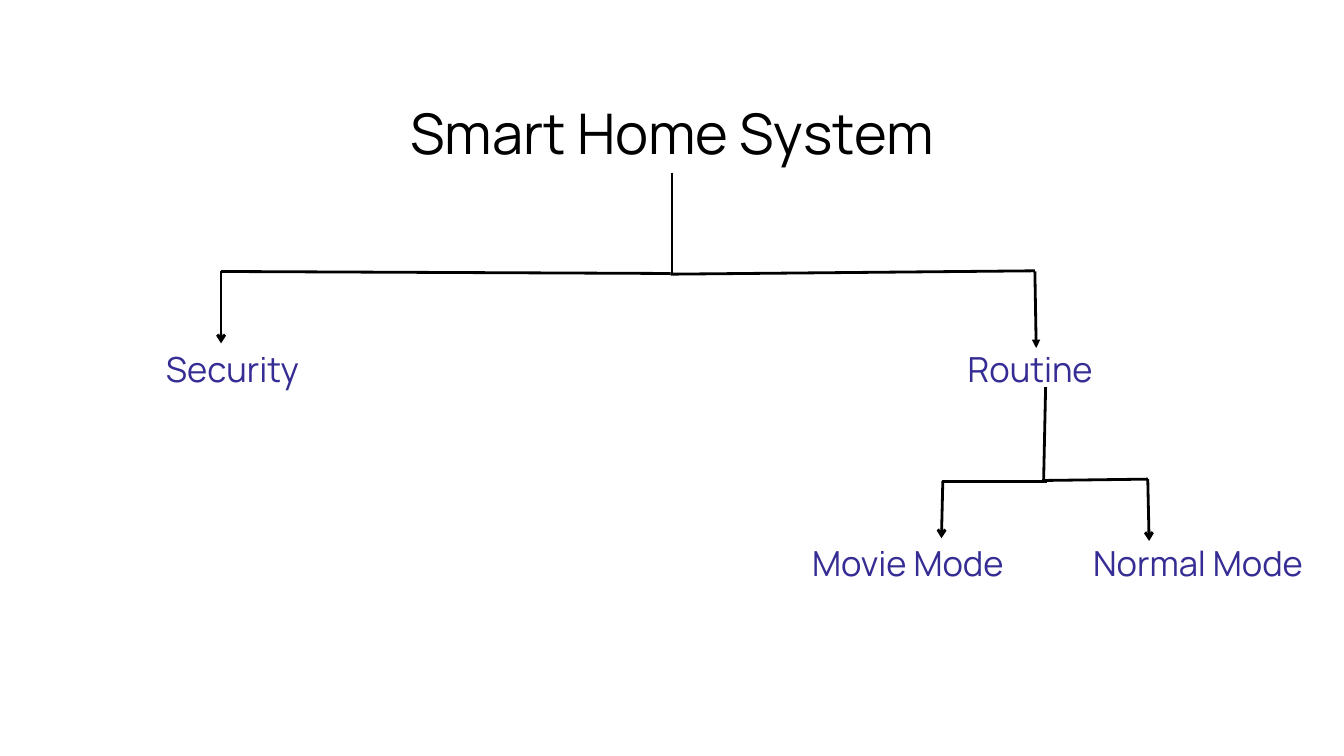
from lxml import etree
from pptx import Presentation
from pptx.dml.color import RGBColor
from pptx.enum.shapes import MSO_CONNECTOR
from pptx.enum.text import MSO_ANCHOR, MSO_AUTO_SIZE, PP_ALIGN
from pptx.oxml.ns import qn
from pptx.util import Inches, Pt

STRAIGHT = MSO_CONNECTOR.STRAIGHT
TOP = MSO_ANCHOR.TOP
GROW = MSO_AUTO_SIZE.SHAPE_TO_FIT_TEXT
CENTER = PP_ALIGN.CENTER
TITLE_ONLY = 5

NODE_TOP, MODE_TOP = 5.03, 7.91
# text, left, top, width, height
NODES = [
    ("Routine", 14.03, NODE_TOP, 2.6, 0.73),
    ("Security ", 2.36, NODE_TOP, 2.3, 0.78),
    ("Movie Mode", 11.5, MODE_TOP, 4.02, 0.73),
    ("Normal Mode ", 16.05, MODE_TOP, 3.66, 0.78),
]
# start, end, arrowhead
BRANCHES = [
    ((10, 2.57), (10, 4.09), None),
    ((3.29, 4.04), (9.98, 4.07), None),
    ((9.98, 4.08), (15.4, 4.03), None),
    ((3.29, 4.04), (3.29, 5.11), "arrow"),
    ((15.4, 4.04), (15.42, 5.18), "triangle"),
    ((15.56, 5.76), (15.53, 7.16), None),
    ((15.52, 7.15), (17.08, 7.13), None),
    ((14.02, 7.16), (15.58, 7.16), None),
    ((14.03, 7.16), (14.01, 8.01), "arrow"),
    ((17.08, 7.13), (17.1, 8.05), "arrow"),
]


def color(hex_code):
    return RGBColor.from_string(hex_code)


def set_format(target, values):
    for name, value in values.items():
        setattr(target, name, value)


class TreeSlide:
    ink = color("000000")
    accent = color("352D94")
    line_width = Pt(3)
    frame_format = {
        "margin_left": 0, "margin_top": 0, "margin_right": 0, "margin_bottom": 0,
        "word_wrap": True, "vertical_anchor": TOP, "auto_size": GROW,
    }
    title_font = {"name": "Manrope", "size": Pt(60), "bold": False}
    node_font = {"name": "Manrope", "size": Pt(37), "bold": False}

    def __init__(self, slide):
        self.slide = slide
        background = slide.background.fill
        background.solid()
        background.fore_color.rgb = color("FFFFFF")

    def fill_text(self, holder, text, font, font_color, leading):
        frame = holder.text_frame
        set_format(frame, self.frame_format)
        paragraph = frame.paragraphs[0]
        set_format(paragraph, {"alignment": CENTER, "line_spacing": Pt(leading),
                               "space_before": Pt(0)})
        run = paragraph.add_run()
        run.text = text
        set_format(run.font, font)
        run.font.color.rgb = font_color

    def title(self, text, left, top, width, height):
        heading = self.slide.shapes.title
        set_format(heading, {"left": Inches(left), "top": Inches(top),
                             "width": Inches(width), "height": Inches(height)})
        self.fill_text(heading, text, self.title_font, self.ink, 61.2)

    def node(self, text, *box):
        label = self.slide.shapes.add_textbox(*map(Inches, box))
        self.fill_text(label, text, self.node_font, self.accent, 55.5)

    def branch(self, start, end, arrowhead):
        connector = self.slide.shapes.add_connector(
            STRAIGHT, *map(Inches, (*start, *end)))
        connector.line.color.rgb = self.ink
        connector.line.width = self.line_width
        properties = connector._element.spPr
        if arrowhead:
            outline = properties.find(qn("a:ln"))
            etree.SubElement(outline, qn("a:tailEnd"), type=arrowhead)
        etree.SubElement(properties, qn("a:effectLst"))


def main():
    deck = Presentation()
    deck.slide_width, deck.slide_height = Inches(20), Inches(11.25)
    tree = TreeSlide(deck.slides.add_slide(deck.slide_layouts[TITLE_ONLY]))
    tree.title("Smart Home System", 3.29, 1.62, 13.42, 0.95)
    for branch in BRANCHES:
        tree.branch(*branch)
    for node in NODES:
        tree.node(*node)
    deck.save("out.pptx")


if __name__ == "__main__":
    main()
